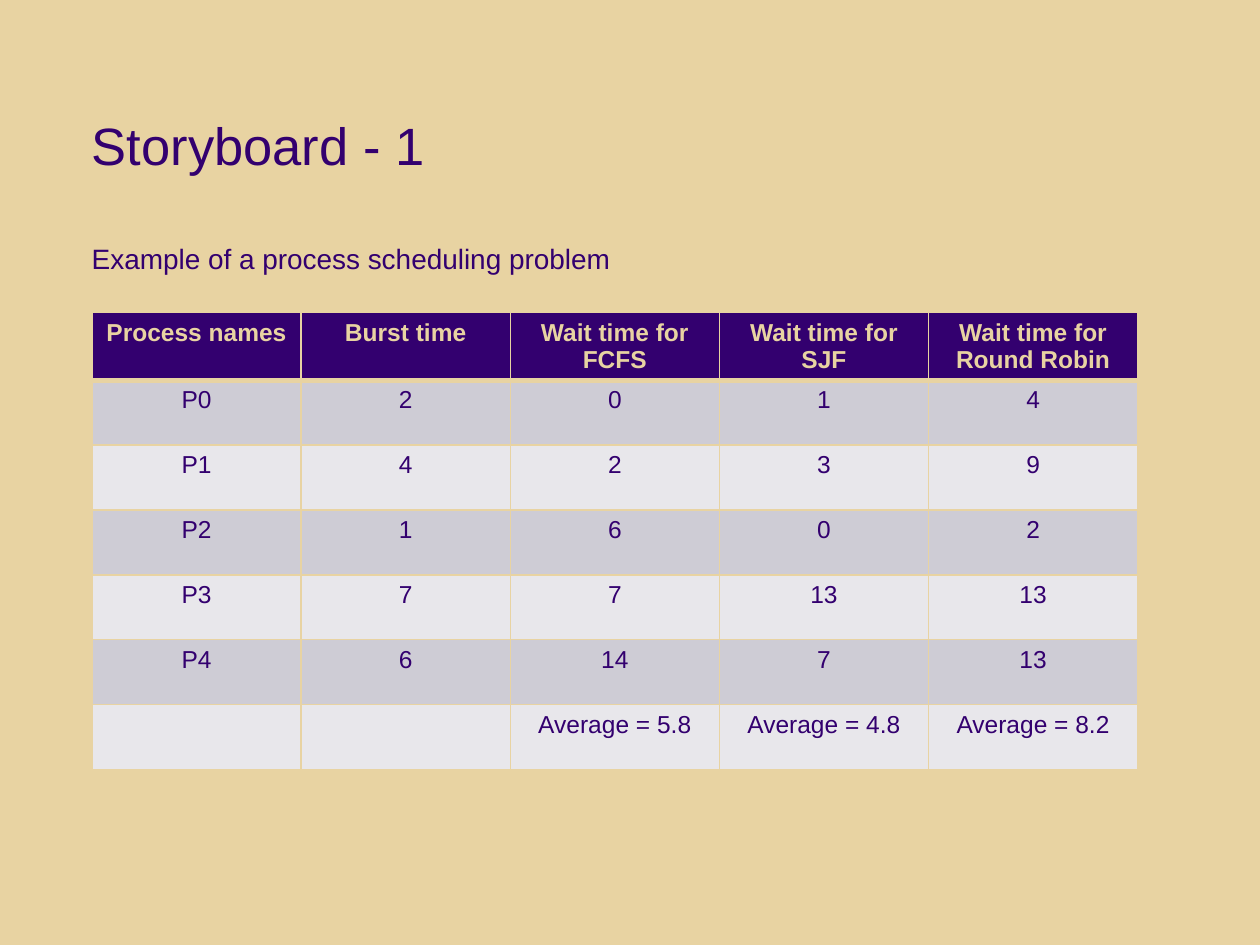
from dataclasses import dataclass

from lxml import etree
from pptx import Presentation
from pptx.dml.color import RGBColor
from pptx.enum.text import MSO_ANCHOR, PP_ALIGN
from pptx.oxml.ns import qn
from pptx.util import Inches, Pt

TOP = MSO_ANCHOR.TOP
LEFT, CENTER = PP_ALIGN.LEFT, PP_ALIGN.CENTER
TITLE_ONLY = 5
FONT = "Arial"
COLORS = {"sand": "E8D3A2", "purple": "33006F", "dark": "CECCD5", "light": "E8E7EB"}
COLUMN_WIDTH = 1.66
HEADER_HEIGHT = 0.42
BODY_HEIGHT = 3.09
THIN, THICK = 1, 3

ROWS = [
    ("Process names", "Burst time", "Wait time for FCFS", "Wait time for SJF",
     "Wait time for Round Robin"),
    ("P0", "2", "0", "1", "4"),
    ("P1", "4", "2", "3", "9"),
    ("P2", "1", "6", "0", "2"),
    ("P3", "7", "7", "13", "13"),
    ("P4", "6", "14", "7", "13"),
    ("", "", "Average = 5.8", "Average = 4.8", "Average = 8.2"),
]


@dataclass(frozen=True)
class RowStyle:
    """Look of one table row."""
    fill: str
    ink: str
    bold: bool
    top: int
    bottom: int


def row_style(index: int) -> RowStyle:
    """Return the header style or the banded body style for a row."""
    if index == 0:
        return RowStyle("purple", "sand", True, THIN, THICK)
    fill = "dark" if index % 2 else "light"
    return RowStyle(fill, "purple", False, THICK if index == 1 else THIN, THIN)


def rgb(name: str) -> RGBColor:
    """Look up a named colour."""
    return RGBColor.from_string(COLORS[name])


def write(para, text: str, size: float, ink: str, bold: bool = False, align=LEFT) -> None:
    """Add one formatted run to a paragraph."""
    para.alignment = align
    span = para.add_run()
    span.text = text
    span.font.name = FONT
    span.font.size = Pt(size)
    span.font.bold = bold
    span.font.color.rgb = rgb(ink)


def set_borders(cell, style: RowStyle) -> None:
    """Draw sand borders on the four sides of a cell."""
    properties = cell._tc.get_or_add_tcPr()
    sides = {"lnL": THIN, "lnR": THIN, "lnT": style.top, "lnB": style.bottom}
    for position, (side, width) in enumerate(sides.items()):
        line = etree.Element(qn(f"a:{side}"), w=str(Pt(width)))
        fill = etree.SubElement(line, qn("a:solidFill"))
        etree.SubElement(fill, qn("a:srgbClr"), val=COLORS["sand"])
        properties.insert(position, line)


def add_title(page) -> None:
    """Place the title in the layout's placeholder."""
    title = page.shapes.title
    title.left, title.top = Inches(0.63), Inches(0.9)
    title.width, title.height = Inches(8.95), Inches(0.97)
    title.text_frame.vertical_anchor = TOP
    para = title.text_frame.paragraphs[0]
    para.line_spacing = 0.9
    write(para, "Storyboard - 1", 30, "purple")


def add_caption(page) -> None:
    """Add the line that introduces the table."""
    box = page.shapes.add_textbox(Inches(0.63), Inches(1.87), Inches(4.37), Inches(0.37))
    box.text_frame.word_wrap = False
    write(box.text_frame.paragraphs[0], "Example of a process scheduling problem", 16, "purple")


def add_schedule(page) -> None:
    """Add the table of burst and wait times."""
    count = len(ROWS[0])
    table = page.shapes.add_table(
        len(ROWS), count, Inches(0.73), Inches(2.48),
        Inches(COLUMN_WIDTH * count), Inches(HEADER_HEIGHT + BODY_HEIGHT)).table
    for column in table.columns:
        column.width = Inches(COLUMN_WIDTH)
    for index, texts in enumerate(ROWS):
        style = row_style(index)
        height = BODY_HEIGHT / (len(ROWS) - 1) if index else HEADER_HEIGHT
        table.rows[index].height = Inches(height)
        for cell, text in zip(table.rows[index].cells, texts):
            cell.fill.solid()
            cell.fill.fore_color.rgb = rgb(style.fill)
            set_borders(cell, style)
            if text:
                write(cell.text_frame.paragraphs[0], text, 14, style.ink, style.bold, CENTER)


def main() -> None:
    """Build and save the slide."""
    deck = Presentation()
    deck.slide_width, deck.slide_height = Inches(10), Inches(7.5)
    page = deck.slides.add_slide(deck.slide_layouts[TITLE_ONLY])
    page.background.fill.solid()
    page.background.fill.fore_color.rgb = rgb("sand")
    add_title(page)
    add_schedule(page)
    add_caption(page)
    deck.save("out.pptx")


main()
